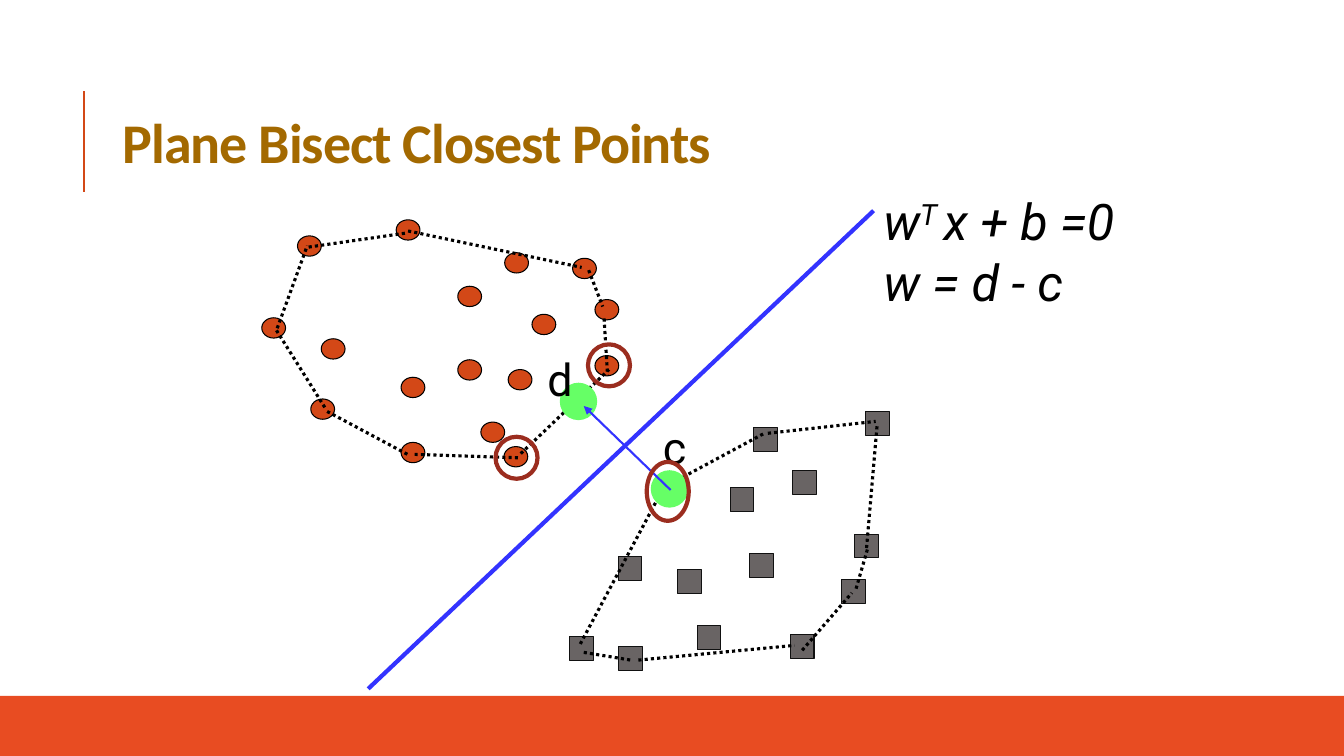
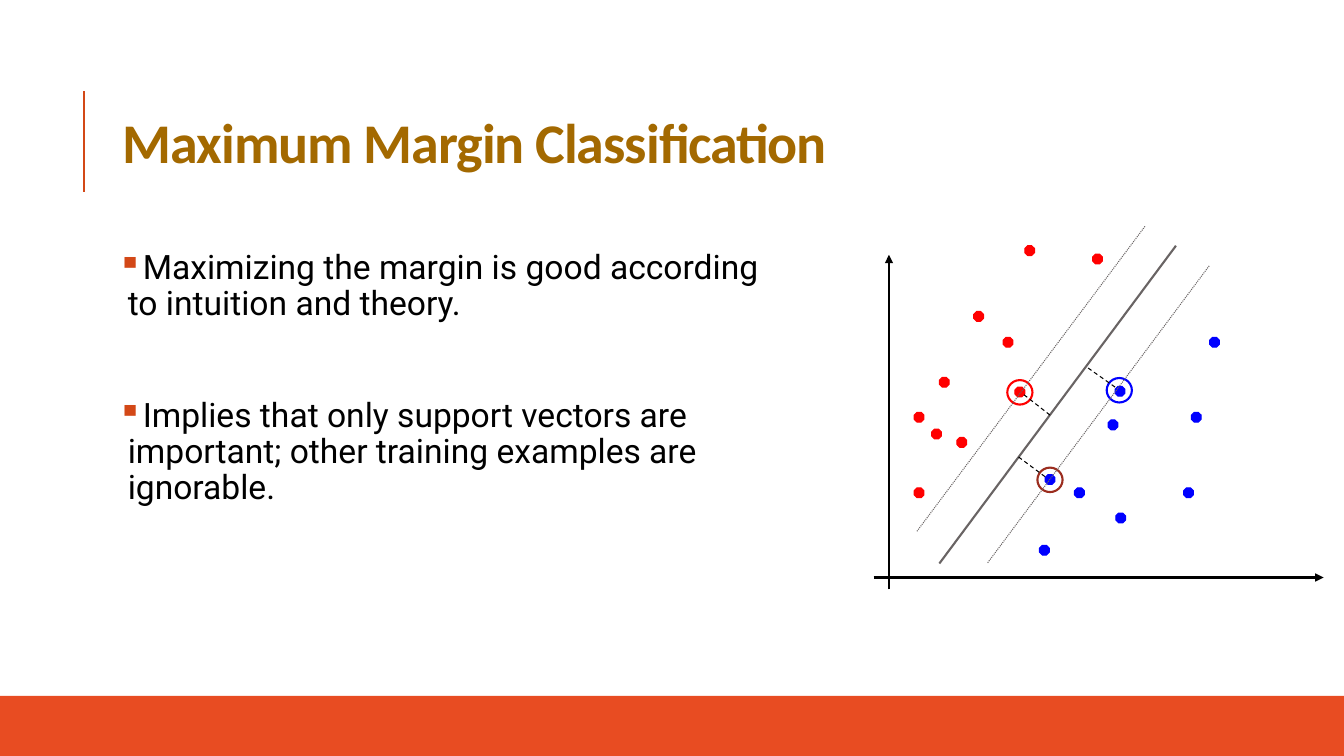
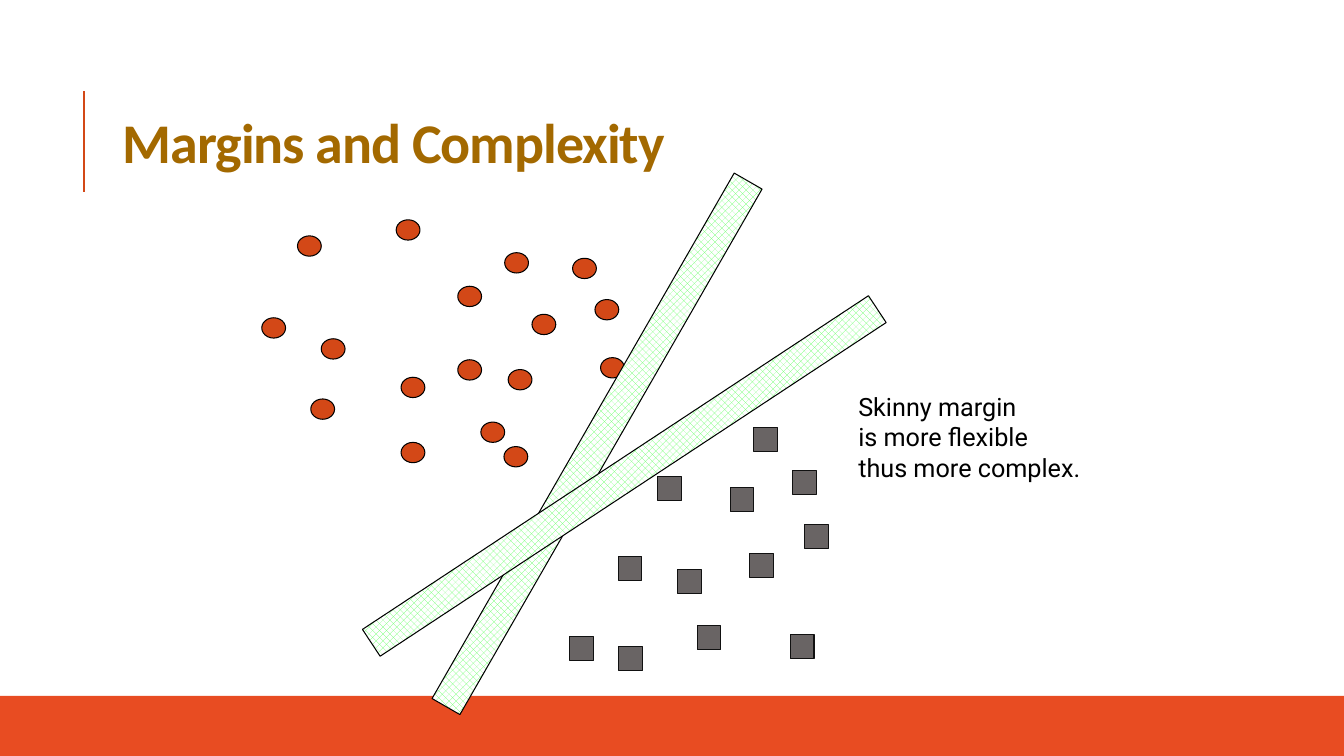
from pptx import Presentation
from pptx.dml.color import RGBColor
from pptx.enum.dml import MSO_LINE, MSO_PATTERN
from pptx.enum.shapes import MSO_CONNECTOR, MSO_SHAPE
from pptx.enum.text import MSO_ANCHOR, MSO_AUTO_SIZE
from pptx.oxml.ns import qn
from pptx.util import Pt
from lxml.etree import SubElement

COLORS = {
    "orange": "D34817", "band": "E84C22", "title": "A36900", "black": "000000",
    "gray": "696464", "edge": "111111", "plane": "3333FF", "green": "66FF66",
    "ring": "9B2D1F", "red": "FF0000", "blue": "0000FF", "white": "FFFFFF",
}
BODY_FONT = "Roboto"

OVALS = [
    (212.5, 168.5), (187, 227), (229.5, 242), (380, 224.5), (327, 204.5), (222, 285),
    (425, 214), (363, 264), (286.5, 269.5), (286.5, 316), (360.5, 180.5), (360, 319),
    (409, 184.5), (327, 257), (343.5, 301.5), (283, 157),
]
SQUARES = [
    (470, 340.5), (566, 336), (441.5, 397.5), (442, 462), (407, 455), (498, 447),
    (564.5, 453.5), (535.5, 395.5), (538.5, 305.5), (521.5, 348.5), (484, 407),
]
HULL_OVALS = [(425, 254)]
HULL_SQUARES = [(601, 414), (610.5, 381.5), (618.5, 294)]
MARGIN_OVALS = [(429, 255.5)]
MARGIN_SQUARES = [(574.5, 374.5)]

HULL_EDGES = [
    (372, 324, 435, 264), (291, 324.5, 232, 293), (370, 327, 294, 324.5),
    (232, 291, 197.5, 236), (198, 234.5, 219.5, 175.5), (220.5, 176.5, 290, 166.5),
    (291.5, 165, 415.5, 191), (420.5, 193, 430.5, 219), (431.5, 227.5, 434, 268),
    (414.5, 460, 475, 346.5), (480, 345, 546, 309.5), (456, 471.5, 567.5, 461),
    (417, 466, 450.5, 471.5), (573, 464.5, 608.5, 423.5), (611.5, 420.5, 620, 391),
    (548.5, 309.5, 625.5, 301), (619, 391.5, 626.5, 304),
]
CLOSEST_POINTS = [(401, 274.5), (466, 337)]
POINT_LABELS = [("d", (384, 247.5, 30, 45.5)), ("c", (466.5, 296.5, 30, 46))]
HULL_RINGS = [(462, 330, 30, 42), (354, 312, 30, 30), (420, 246, 30, 30)]
FORMULA = [[("w", 0), ("T ", 30), ("x + b =0", 0)], "w = d - c"]

BULLETS = [
    "Maximizing the margin is good according to intuition and theory.",
    "Implies that only support vectors are important; other training examples are ignorable.",
]
AXES = [(635, 421, 635, 182), (624, 412.5, 945.5, 412.5)]
SAMPLES = {
    "red": [
        (716.5, 241), (671, 269.5), (683.5, 312.5), (653, 348.5), (695.5, 222.5),
        (653, 294.5), (665.5, 306.5), (725, 276.5), (732, 175.5), (780.5, 181.5),
    ],
    "blue": [
        (796.5, 276), (767.5, 348.5), (845.5, 348.5), (742.5, 389.5), (791.5, 300),
        (746.5, 339), (797, 366.5), (851, 294.5), (864, 241),
    ],
}
SUPPORT_RINGS = [("red", 719.5, 271.5), ("ring", 741, 334), ("blue", 790.5, 270)]
SUPPORT_DISTANCES = [
    (796.5, 276.5, 776, 262), (746.5, 340.5, 727, 326), (750, 296.5, 731.5, 282),
]
MARGIN_LINES = [(705.5, 402, 864, 189.5), (655, 379.5, 818, 161.5)]

SKINNY_NOTE = ["Skinny margin", "is more flexible", "thus more complex."]
SKINNY_BARS = [(210, 305.5, 299.9), (229.5, 328.5, 326.6)]


def rgb(name):
    return RGBColor.from_string(COLORS[name])


def add_figure(page, kind, left, top, width, height, fill=None, line=None, weight=0.75):
    figure = page.shapes.add_shape(kind, Pt(left), Pt(top), Pt(width), Pt(height))
    figure.shadow.inherit = False
    if fill:
        figure.fill.solid()
        figure.fill.fore_color.rgb = rgb(fill)
    else:
        figure.fill.background()
    if line:
        figure.line.color.rgb = rgb(line)
        figure.line.width = Pt(weight)
    else:
        figure.line.fill.background()
    return figure


def add_line(page, ends, color="black", weight=0.75, dash=None, arrow=False):
    line = page.shapes.add_connector(MSO_CONNECTOR.STRAIGHT, *[Pt(end) for end in ends])
    line.line.color.rgb = rgb(color)
    line.line.width = Pt(weight)
    if dash:
        line.line.dash_style = dash
    properties = line.element.spPr
    if arrow:
        SubElement(properties.find(qn("a:ln")), qn("a:tailEnd"), type="triangle")
    SubElement(properties, qn("a:effectLst"))
    return line


def write_text(frame, paragraphs, size, font=BODY_FONT, color="black", bold=False,
               italic=False, spacing=None):
    frame.word_wrap = True
    frame.auto_size = MSO_AUTO_SIZE.NONE
    for index, pieces in enumerate(paragraphs):
        para = frame.paragraphs[0] if index == 0 else frame.add_paragraph()
        if isinstance(pieces, str):
            pieces = [(pieces, 0)]
        for text, raised in pieces:
            span = para.add_run()
            span.text = text
            span.font.name = font
            span.font.size = Pt(size)
            span.font.bold = bold
            span.font.italic = italic
            span.font.color.rgb = rgb(color)
            properties = span._r.get_or_add_rPr()
            if raised:
                properties.set("baseline", str(raised * 1000))
            if spacing:
                properties.set("spc", str(round(spacing * 100)))


def add_text(page, paragraphs, place, size, **style):
    box = page.shapes.add_textbox(*[Pt(length) for length in place])
    write_text(box.text_frame, paragraphs, size, **style)
    return box.text_frame


def add_bullets(page, bullets, place):
    frame = add_text(page, bullets, place, 24)
    frame.margin_left = frame.margin_right = Pt(3.6)
    for index, para in enumerate(frame.paragraphs):
        para.line_spacing = 0.9
        para.space_before = Pt(52 if index else 12)
        para.space_after = Pt(2)
        properties = para._p.get_or_add_pPr()
        properties.set("marL", str(Pt(7.2)))
        properties.set("indent", str(-Pt(7.2)))
        tint = SubElement(properties, qn("a:buClr"))
        SubElement(tint, qn("a:srgbClr"), val=COLORS["orange"])
        SubElement(properties, qn("a:buChar"), char="▪")


def start_page(deck, title):
    page = deck.slides.add_slide(deck.slide_layouts[5])
    holder = page.shapes.title
    holder.left, holder.top, holder.width, holder.height = Pt(80.5), Pt(46), Pt(765.5), Pt(118)
    write_text(holder.text_frame, [title], 40, font="Calibri", color="title", bold=True,
               spacing=-0.7)
    holder.text_frame.vertical_anchor = MSO_ANCHOR.MIDDLE
    para = holder.text_frame.paragraphs[0]
    para.line_spacing = 0.8
    para.alignment = 1
    add_line(page, (60, 137, 60, 65), "orange", 1.5)
    add_figure(page, MSO_SHAPE.RECTANGLE, 0, 497, 960, 43, fill="band")
    return page


def add_classes(page, ovals, squares):
    for left, top in ovals:
        add_figure(page, MSO_SHAPE.OVAL, left, top, 17, 14.5, "orange", "black")
    for left, top in squares:
        add_figure(page, MSO_SHAPE.RECTANGLE, left, top, 17, 17, "gray", "edge")


def build_bisecting_plane(deck):
    page = start_page(deck, "Plane Bisect Closest Points")
    add_classes(page, OVALS + HULL_OVALS, SQUARES + HULL_SQUARES)
    add_line(page, (263, 492, 624, 150.5), "plane", 3)
    for edge in HULL_EDGES:
        add_line(page, edge, weight=2.25, dash=MSO_LINE.ROUND_DOT)
    for left, top in CLOSEST_POINTS:
        add_figure(page, MSO_SHAPE.OVAL, left, top, 24.5, 24.5, "green", "green", 2.25)
    add_line(page, (479, 350, 417, 290), "plane", 1.5, arrow=True)
    for label, place in POINT_LABELS:
        add_text(page, [label], place, 32)
    for ring in HULL_RINGS:
        add_figure(page, MSO_SHAPE.OVAL, *ring, line="ring", weight=3)
    add_text(page, FORMULA, (624, 132.5, 196, 94.5), 36, italic=True)


def build_maximum_margin(deck):
    page = start_page(deck, "Maximum Margin Classification")
    add_bullets(page, BULLETS, (80.5, 175, 481.5, 312))
    for axis in AXES:
        add_line(page, axis, weight=2, arrow=True)
    for color, places in SAMPLES.items():
        for left, top in places:
            add_figure(page, MSO_SHAPE.OCTAGON, left, top, 7, 7, color, color)
    add_line(page, (671, 402.5, 840, 175.5), "gray", 1.5)
    for color, left, top in SUPPORT_RINGS:
        add_figure(page, MSO_SHAPE.OVAL, left, top, 18, 17.5, line=color, weight=1.5)
    for ends in SUPPORT_DISTANCES:
        add_line(page, ends, dash=MSO_LINE.DASH)
    for ends in MARGIN_LINES:
        add_line(page, ends, "gray", dash=MSO_LINE.ROUND_DOT)


def build_complexity(deck):
    page = start_page(deck, "Margins and Complexity")
    add_classes(page, OVALS + MARGIN_OVALS, SQUARES + MARGIN_SQUARES)
    add_text(page, SKINNY_NOTE, (606, 276, 226, 94.5), 18)
    for left, top, angle in SKINNY_BARS:
        bar = add_figure(page, MSO_SHAPE.RECTANGLE, left, top, 433, 23, line="black")
        bar.rotation = angle
        bar.fill.patterned()
        bar.fill.pattern = MSO_PATTERN.PERCENT_50
        bar.fill.fore_color.rgb = rgb("green")
        bar.fill.back_color.rgb = rgb("white")


def main():
    deck = Presentation()
    deck.slide_width, deck.slide_height = Pt(960), Pt(540)
    build_bisecting_plane(deck)
    build_maximum_margin(deck)
    build_complexity(deck)
    deck.save("out.pptx")


if __name__ == "__main__":
    main()
